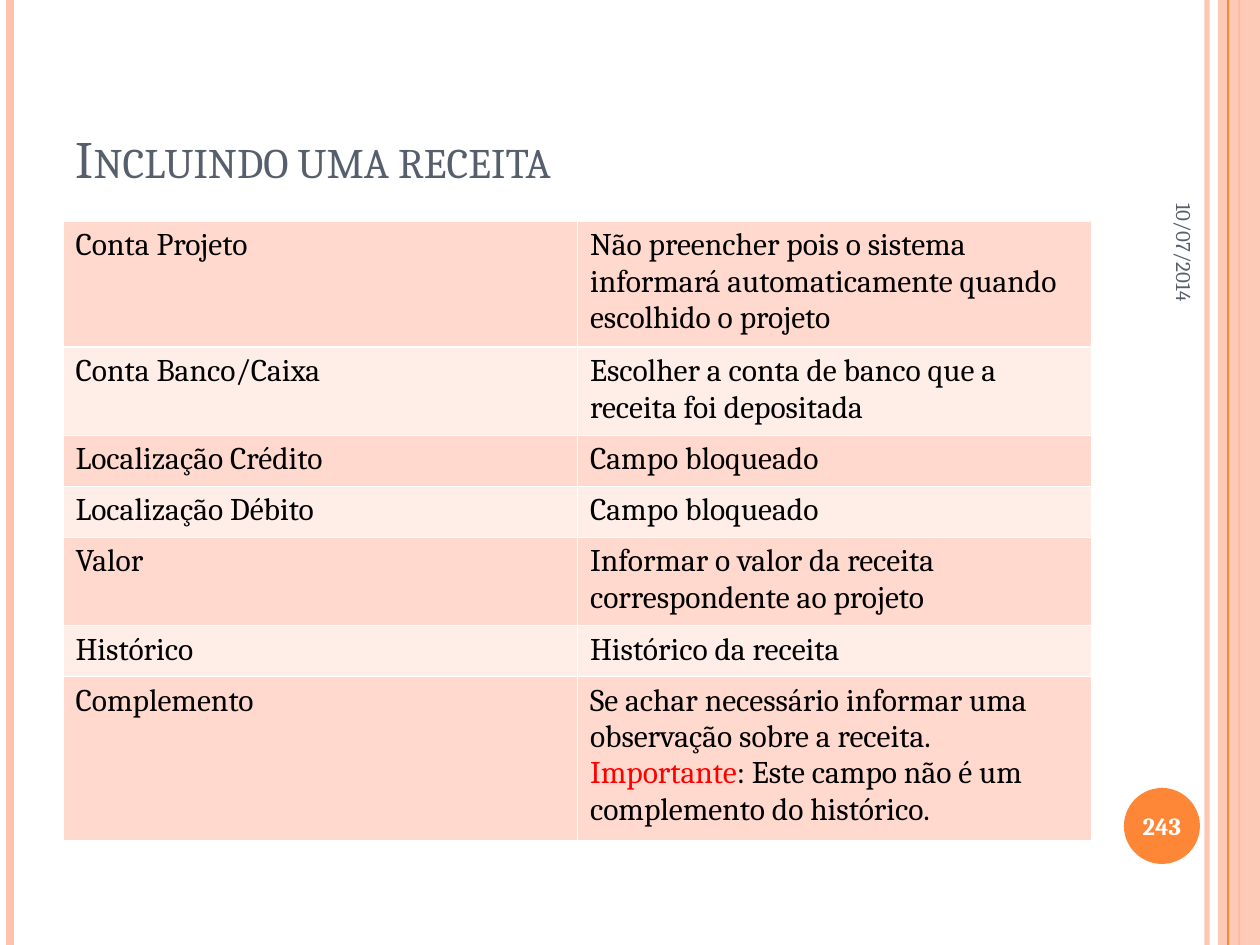
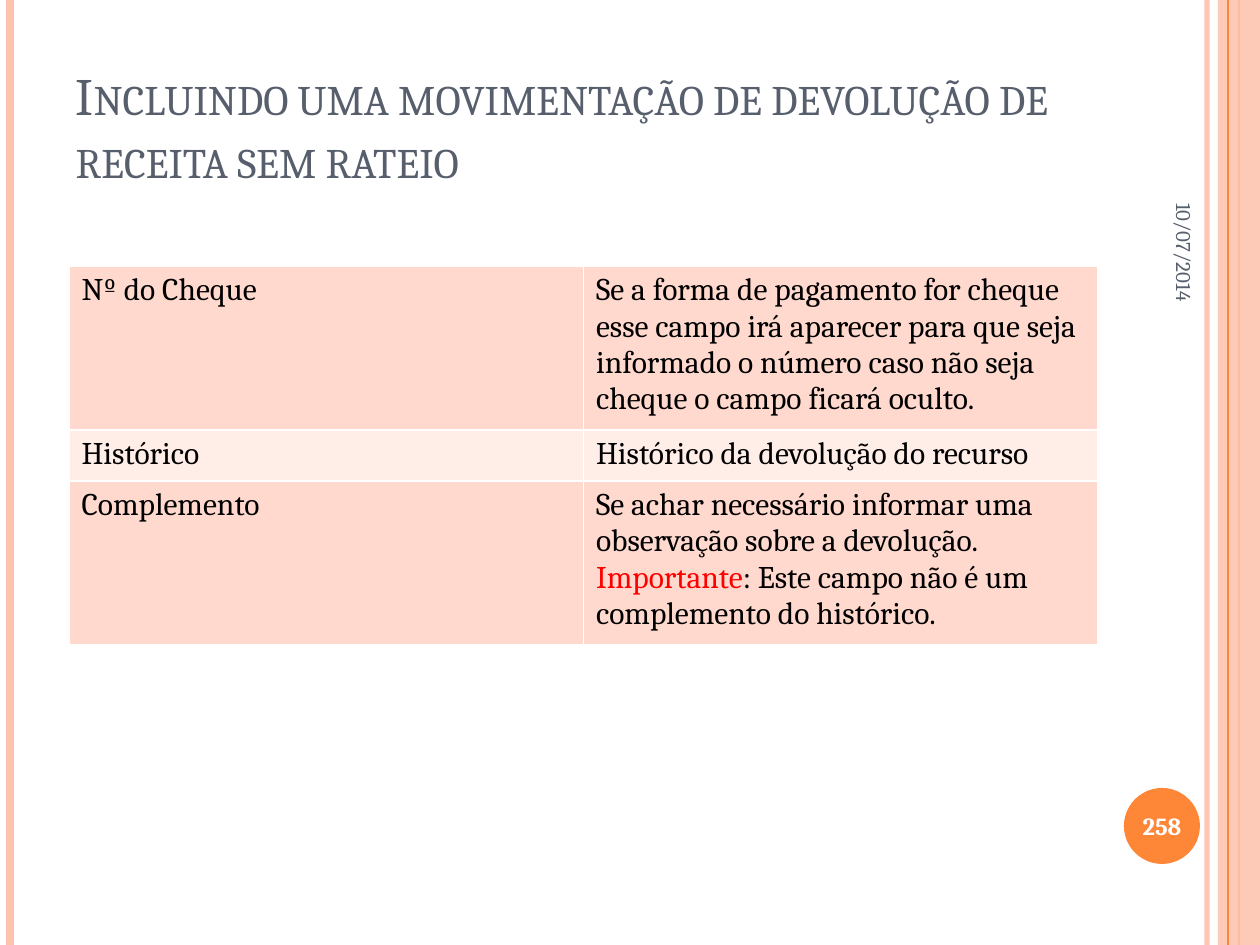
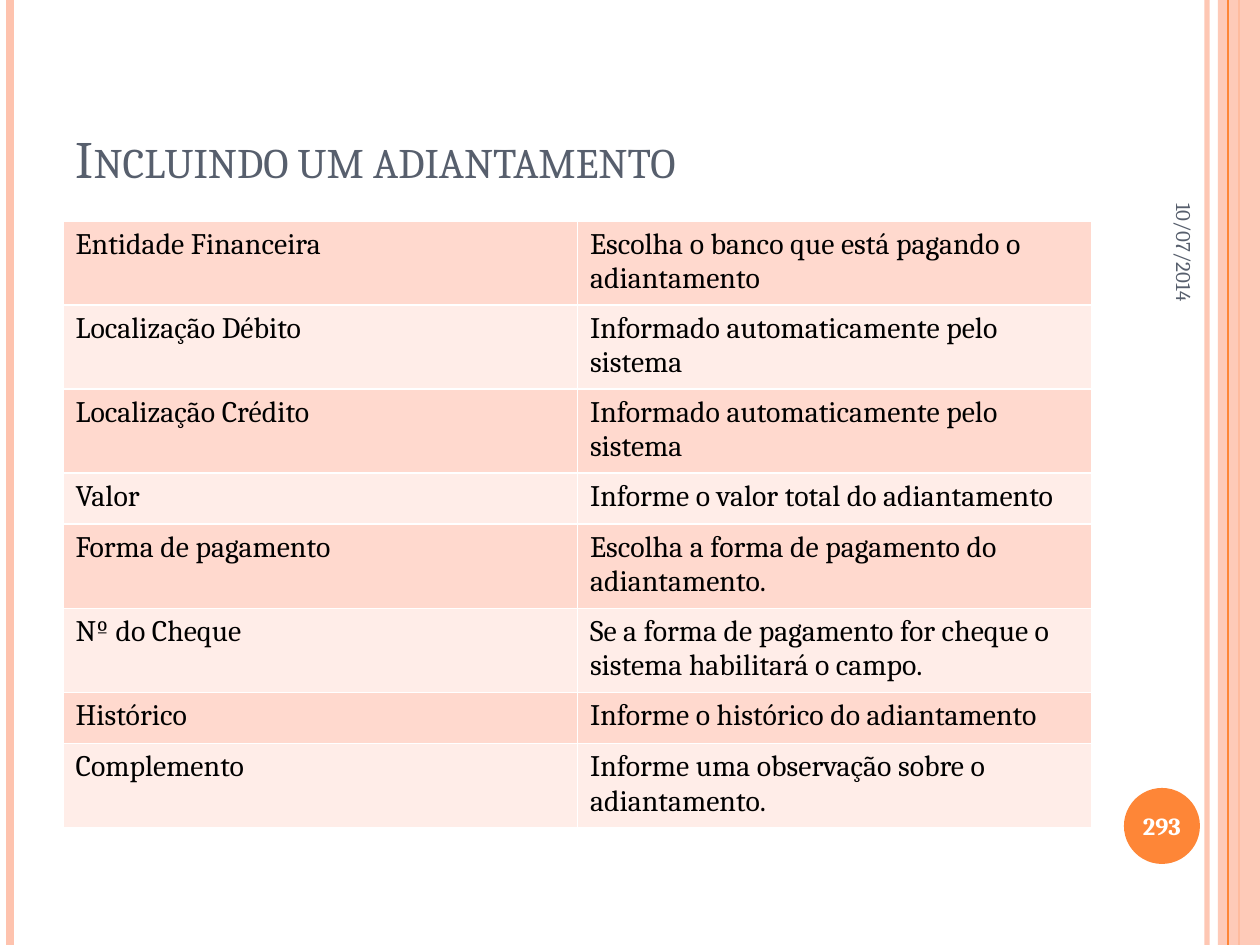
import pptx
import pptx.dml.color
import pptx.enum.shapes
import pptx.enum.text
import pptx.oxml
import pptx.oxml.ns
import pptx.util

RGBColor = pptx.dml.color.RGBColor
PEACH = RGBColor(0xFE, 0xC3, 0xAE)
ORANGE = RGBColor(0xFE, 0x86, 0x37)
SLATE = RGBColor(0x57, 0x5F, 0x6D)
WHITE = RGBColor(0xFF, 0xFF, 0xFF)
BLACK = RGBColor(0, 0, 0)
RED = RGBColor(0xFF, 0, 0)
BANDS = (RGBColor(0xFF, 0xD9, 0xCE), RGBColor(0xFF, 0xED, 0xE8))

FONT = "Cambria"
SLIDE_W, SLIDE_H = 1260, 945
TABLE_W, ROW_H = 1029, 51
DATE = "10/07/2014"
ALIGN = pptx.enum.text.PP_ALIGN
ANCHOR = pptx.enum.text.MSO_ANCHOR
SHAPE = pptx.enum.shapes.MSO_SHAPE
NOTE = [("Importante", RED), (": Este campo não é um complemento do histórico.", BLACK)]

RECEITA = [
    ("Conta Projeto",
     "Não preencher pois o sistema informará automaticamente quando escolhido o projeto"),
    ("Conta Banco/Caixa", "Escolher a conta de banco que a receita foi depositada"),
    ("Localização Crédito", "Campo bloqueado"),
    ("Localização Débito", "Campo bloqueado"),
    ("Valor", "Informar o valor da receita correspondente ao projeto"),
    ("Histórico", "Histórico da receita"),
    ("Complemento",
     [("Se achar necessário informar uma observação sobre a receita. ", BLACK)] + NOTE),
]
DEVOLUCAO = [
    ("Nº do Cheque",
     "Se a forma de pagamento for cheque esse campo irá aparecer para que seja "
     "informado o número caso não seja cheque o campo ficará oculto."),
    ("Histórico", "Histórico da devolução do recurso"),
    ("Complemento",
     [("Se achar necessário informar uma observação sobre a devolução. ", BLACK)] + NOTE),
]
ADIANTAMENTO = [
    ("Entidade Financeira", "Escolha o banco que está pagando o adiantamento"),
    ("Localização Débito", "Informado automaticamente pelo sistema"),
    ("Localização Crédito", "Informado automaticamente pelo sistema"),
    ("Valor", "Informe o valor total do adiantamento"),
    ("Forma de pagamento", "Escolha a forma de pagamento do adiantamento."),
    ("Nº do Cheque", "Se a forma de pagamento for cheque o sistema habilitará o campo."),
    ("Histórico", "Informe o histórico do adiantamento"),
    ("Complemento", "Informe uma observação sobre o adiantamento."),
]


def px(n):
    """Turn pixels into EMU."""
    return pptx.util.Emu(n * 914400 // 126)


def set_alpha(element, percent):
    """Make the first solid colour inside an element partly transparent."""
    color = next(element.iter(pptx.oxml.ns.qn("a:srgbClr")))
    alpha = color.makeelement(pptx.oxml.ns.qn("a:alpha"), {"val": str(percent * 1000)})
    color.append(alpha)


def add_run(p, text, size, color, bold=False):
    """Add one formatted run to a paragraph."""
    r = p.add_run()
    r.text = text
    r.font.name = FONT
    r.font.size = pptx.util.Pt(size)
    r.font.color.rgb = color
    r.font.bold = bold
    return r


def add_rule(s, x, color, width, alpha=100):
    """Draw a vertical rule over the full slide height."""
    rule = s.shapes.add_connector(
        pptx.enum.shapes.MSO_CONNECTOR.STRAIGHT, px(x), 0, px(x), px(SLIDE_H))
    rule.line.color.rgb = color
    rule.line.width = pptx.util.Pt(width)
    sp_pr = rule._element.spPr
    if alpha < 100:
        set_alpha(sp_pr, alpha)
    sp_pr.append(sp_pr.makeelement(pptx.oxml.ns.qn("a:effectLst"), {}))


def add_block(s, kind, x, y, w, h, color):
    """Add a preset shape with a plain fill and no line."""
    sp = s.shapes.add_shape(kind, px(x), px(y), px(w), px(h))
    sp.shadow.inherit = False
    sp.fill.solid()
    sp.fill.fore_color.rgb = color
    sp.line.fill.background()
    return sp


def add_label(s, x, y, w, h, text, size, color, align, bold=False):
    """Add a one-line text box, centred vertically."""
    sp = s.shapes.add_textbox(px(x), px(y), px(w), px(h))
    tf = sp.text_frame
    tf.word_wrap = True
    tf.vertical_anchor = ANCHOR.MIDDLE
    p = tf.paragraphs[0]
    p.alignment = align
    add_run(p, text, size, color, bold)
    return sp


def add_frame(s, number):
    """Draw the side bands, the date and the page number."""
    add_rule(s, 1207, PEACH, 3, 93)
    add_rule(s, 10, PEACH, 4.5)
    add_rule(s, 1239, ORANGE, 1.5)
    band = add_block(s, SHAPE.RECTANGLE, 1218, 0, 42, SLIDE_H, PEACH)
    set_alpha(band._element.spPr, 87)
    add_rule(s, 1228, ORANGE, 0.75)
    add_block(s, SHAPE.OVAL, 1124, 788, 76, 76, ORANGE)
    add_label(s, 1046, 149, 277, 53, DATE, 12, SLATE, ALIGN.RIGHT).rotation = 90
    add_label(s, 1120, 790, 84, 72, str(number), 14, WHITE, ALIGN.CENTER, True)


def set_title(s, text):
    """Place and fill the title placeholder in small capitals."""
    sp = s.shapes.title
    sp.left, sp.top, sp.width, sp.height = px(63), px(38), px(TABLE_W), px(157)
    tf = sp.text_frame
    tf.word_wrap = True
    tf.auto_size = pptx.enum.text.MSO_AUTO_SIZE.NONE
    tf.vertical_anchor = ANCHOR.BOTTOM
    p = tf.paragraphs[0]
    p.alignment = ALIGN.LEFT
    r = add_run(p, text, 30, SLATE)
    r.font._element.set("cap", "small")


def set_borders(cell):
    """Give a cell thin white borders on all sides."""
    tc_pr = cell._tc.get_or_add_tcPr()
    for i, side in enumerate(("lnL", "lnR", "lnT", "lnB")):
        tc_pr.insert(i, pptx.oxml.parse_xml(
            f'<a:{side} {pptx.oxml.ns.nsdecls("a")} w="12700"><a:solidFill>'
            f'<a:srgbClr val="{WHITE}"/></a:solidFill></a:{side}>'))


def add_field_table(s, x, y, rows, size):
    """Add a banded table of field names and their explanations."""
    table = s.shapes.add_table(
        len(rows), 2, px(x), px(y), px(TABLE_W), px(ROW_H * len(rows))).table
    table.first_row = False
    table.horz_banding = False
    for i, row in enumerate(rows):
        table.rows[i].height = px(ROW_H)
        for j, content in enumerate(row):
            cell = table.cell(i, j)
            cell.fill.solid()
            cell.fill.fore_color.rgb = BANDS[i % 2]
            set_borders(cell)
            runs = [(content, BLACK)] if isinstance(content, str) else content
            for text, color in runs:
                add_run(cell.text_frame.paragraphs[0], text, size, color)


def main():
    """Build the three slides and save them."""
    prs = pptx.Presentation()
    prs.slide_width, prs.slide_height = px(SLIDE_W), px(SLIDE_H)
    slides = [
        ("Incluindo uma receita", 243, 63, 221, RECEITA, 18),
        ("Incluindo uma movimentação de devolução de receita sem rateio",
         258, 69, 266, DEVOLUCAO, 18),
        ("Incluindo um adiantamento", 293, 63, 221, ADIANTAMENTO, 17),
    ]
    for title, number, x, y, rows, size in slides:
        s = prs.slides.add_slide(prs.slide_layouts[5])
        add_frame(s, number)
        set_title(s, title)
        add_field_table(s, x, y, rows, size)
    prs.save("out.pptx")


if __name__ == "__main__":
    main()
